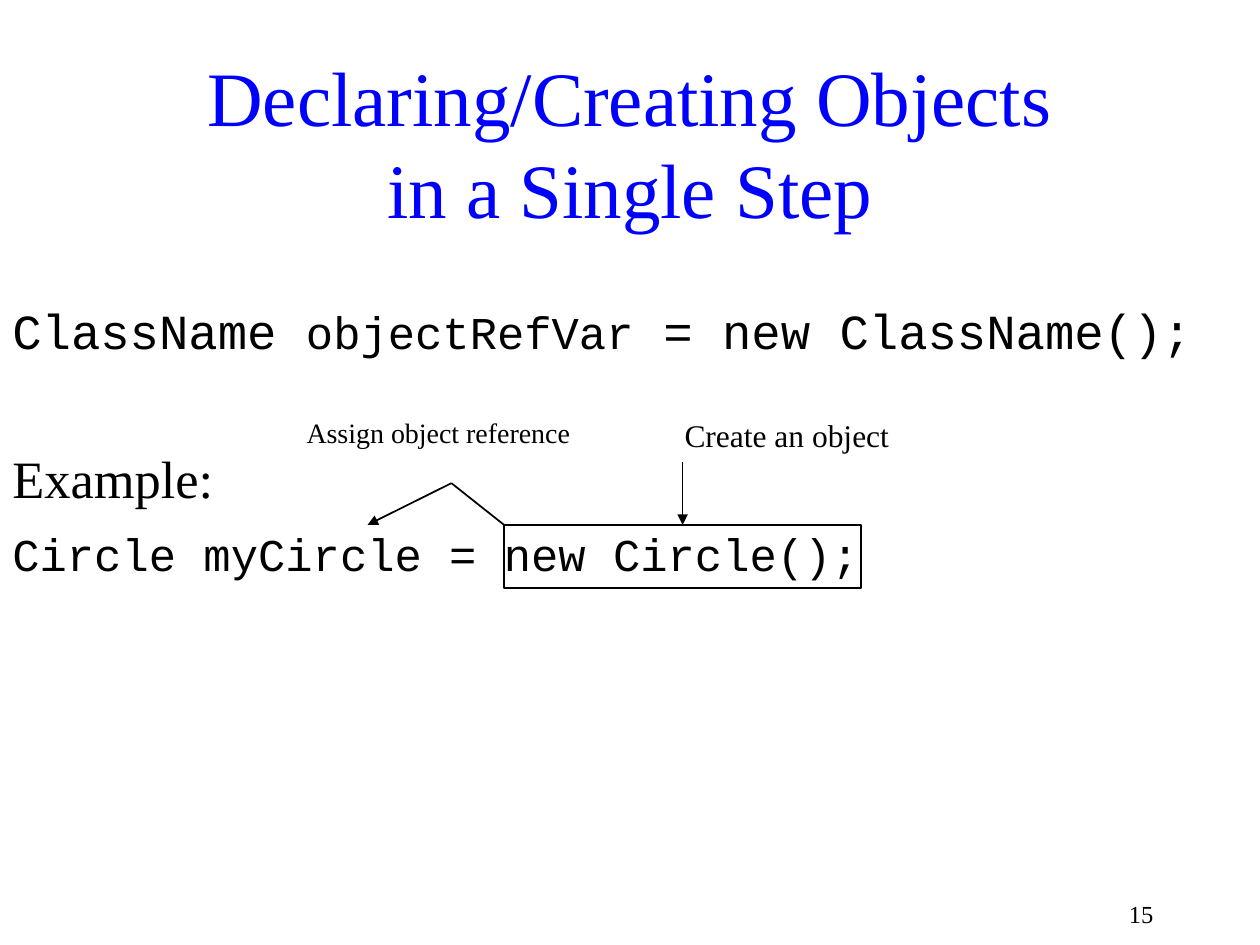
from lxml import etree
from pptx import Presentation
from pptx.dml.color import RGBColor
from pptx.enum.shapes import MSO_CONNECTOR as Connector, MSO_SHAPE as Shape
from pptx.enum.text import MSO_ANCHOR as Anchor, PP_ALIGN as Align
from pptx.oxml.ns import qn
from pptx.util import Cm, Pt

COLORS = {"title": "0000FF", "ink": "000000"}
SERIF, MONO = "Times New Roman", "Courier New"


def add_span(para, text, font, size, color="ink"):
    span = para.add_run()
    span.text = text
    span.font.name = font
    span.font.size = Pt(size)
    span.font.color.rgb = RGBColor.from_string(COLORS[color])


def add_box(left, top, width, height, wrap=True):
    box = page.shapes.add_textbox(Cm(left), Cm(top), Cm(width), Cm(height))
    box.text_frame.word_wrap = wrap
    return box.text_frame


deck = Presentation()
deck.slide_width, deck.slide_height = Cm(25.4), Cm(19.05)
page = deck.slides.add_slide(deck.slide_layouts[5])

# Title
title = page.shapes.title
title.left, title.top, title.width, title.height = Cm(1.9), Cm(0.64), Cm(21.6), Cm(4.44)
title.text_frame.vertical_anchor = Anchor.MIDDLE
para = title.text_frame.paragraphs[0]
para.alignment = Align.CENTER
add_span(para, "Declaring/Creating Objects", SERIF, 44, "title")
para.add_line_break()
add_span(para, "in a Single Step", SERIF, 44, "title")

# Syntax and example: space before, then the spans of each line
code_lines = [
    (6.4, [("ClassName ", MONO, 28), ("objectRefVar", MONO, 26),
           (" = new ClassName();", MONO, 28)]),
    (49.5, [("Example:", SERIF, 30)]),
    (10, [("Circle myCircle = new Circle();", MONO, 26)]),
]
body = add_box(0, 5.93, 27.5, 7.2)
for index, (space, spans) in enumerate(code_lines):
    para = body.add_paragraph() if index else body.paragraphs[0]
    para.space_before = Pt(space)
    for text, font, size in spans:
        add_span(para, text, font, size)

# Frame around the object creation
frame = page.shapes.add_shape(Shape.RECTANGLE, Cm(10.16), Cm(10.58), Cm(7.2), Cm(1.27))
frame.shadow.inherit = False
frame.fill.background()
frame.line.color.rgb = RGBColor.from_string(COLORS["ink"])
frame.line.width = Pt(1)

# Callout lines: start, end, arrowhead at the end
callouts = [
    ((13.76, 9.31), (13.76, 10.58), True),
    ((10.16, 10.58), (9.1, 9.74), False),
    ((9.1, 9.74), (7.41, 10.58), True),
]
for start, end, has_arrow in callouts:
    line = page.shapes.add_connector(
        Connector.STRAIGHT, *(Cm(value) for value in start + end))
    line.line.color.rgb = RGBColor.from_string(COLORS["ink"])
    line.line.width = Pt(1)
    properties = line._element.spPr
    if has_arrow:
        etree.SubElement(properties.find(qn("a:ln")), qn("a:tailEnd"), type="triangle")
    etree.SubElement(properties, qn("a:effectLst"))

# Callout labels
labels = [
    ("Create an object", 18, 13.55, 4.65, 1.02, 0),
    ("Assign object reference", 16, 5.93, 6.07, 1.27, 7),
]
for text, size, left, width, height, space in labels:
    para = add_box(left, 8.26, width, height, wrap=False).paragraphs[0]
    para.space_before = Pt(space)
    add_span(para, text, SERIF, size)

# Page number
number = add_box(18.2, 17.78, 5.3, 1.27)
number.vertical_anchor = Anchor.MIDDLE
number.paragraphs[0].alignment = Align.RIGHT
add_span(number.paragraphs[0], "15", SERIF, 14)

deck.save("out.pptx")
